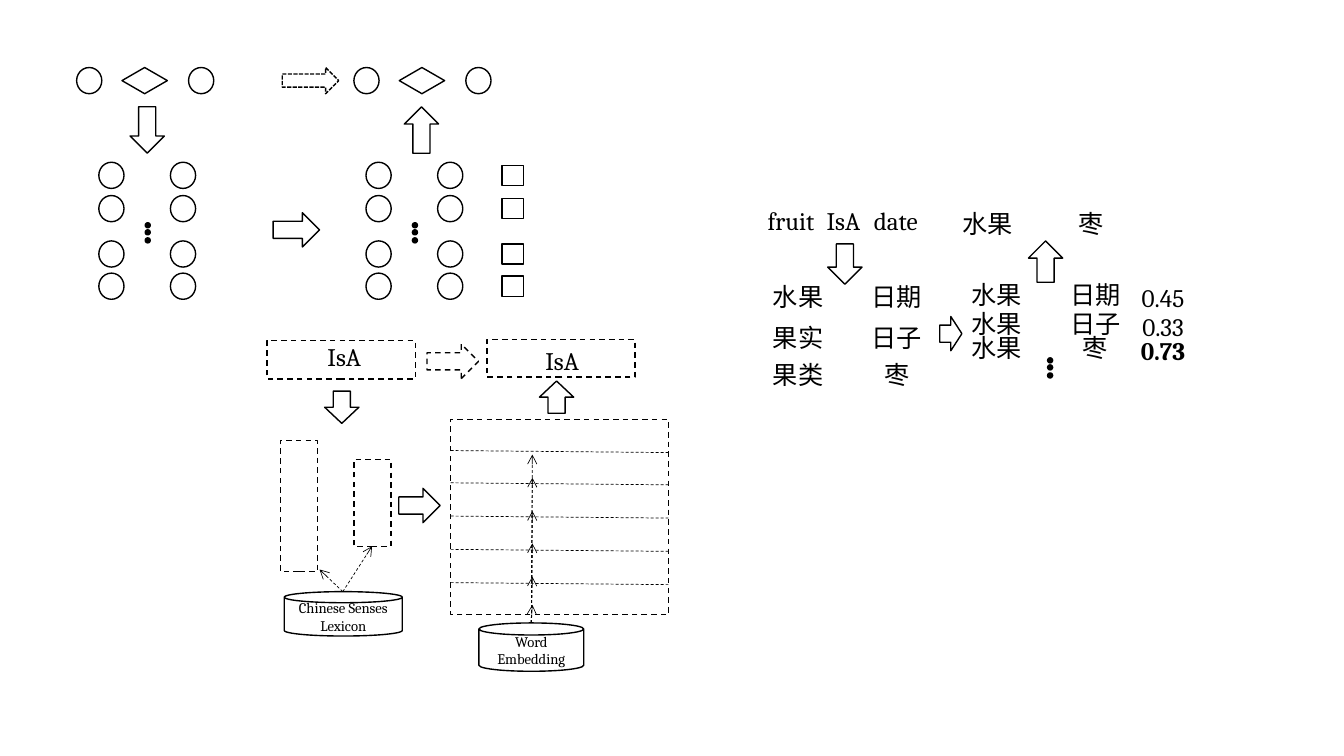
from dataclasses import dataclass
from pptx import Presentation
from pptx.dml.color import RGBColor
from pptx.enum.dml import MSO_LINE
from pptx.enum.shapes import MSO_CONNECTOR, MSO_SHAPE
from pptx.enum.text import MSO_ANCHOR, MSO_AUTO_SIZE, PP_ALIGN
from pptx.oxml.ns import qn
from pptx.util import Pt
from lxml.etree import SubElement

PX = 9144  # EMU in one px, 100 px to the inch


@dataclass(frozen=True)
class Theme:
    ink: RGBColor = RGBColor(0, 0, 0)
    paper: RGBColor = RGBColor(255, 255, 255)
    face: str = "Cambria"
    label: float = 18
    store: float = 10.5
    edge: float = 1
    thin: float = 0.5


THEME = Theme()
ROWS = (161, 194, 239, 271)


def emu(*sizes):
    return [size * PX for size in sizes]


def apply(item, formats):
    for name, value in formats.items():
        setattr(item, name, value)


def write(frame, text, size, bold=None):
    para = frame.paragraphs[0]
    para.alignment = PP_ALIGN.CENTER
    run = para.add_run()
    run.text = text
    apply(run.font, {"name": THEME.face, "size": Pt(size), "bold": bold})
    run.font.color.rgb = THEME.ink


def draw(shapes, kind, box, fill=THEME.paper, dash=None, turn=0):
    shape = shapes.add_shape(kind, *emu(*box))
    shape.shadow.inherit = False
    if fill is None:
        shape.fill.background()
    else:
        shape.fill.solid()
        shape.fill.fore_color.rgb = fill
    shape.line.color.rgb = THEME.ink
    apply(shape.line, {"width": Pt(THEME.edge), "dash_style": dash})
    shape.rotation = turn
    return shape


def ring(shapes, x, y):
    draw(shapes, MSO_SHAPE.OVAL, (x, y, 25, 26))


def triple(shapes, x):
    # Two entities joined by a relation
    group = shapes.add_group_shape().shapes
    ring(group, x, 67)
    ring(group, x + 111, 67)
    draw(group, MSO_SHAPE.DIAMOND, (x + 45, 67, 45, 26))


def dots(shapes, x, y):
    for step in (0, 7, 15):
        draw(shapes, MSO_SHAPE.OVAL, (x, y + step, 5, 5), THEME.ink)


def pool(shapes, x):
    # Candidate pairs with an ellipsis between them
    for y in ROWS:
        ring(shapes, x, y)
        ring(shapes, x + 71, y)
    dots(shapes, x + 46, 221)


def arrow(shapes, x, y, long, turn=0, dash=None):
    draw(shapes, MSO_SHAPE.DOWN_ARROW, (x, y, 34, long), dash=dash, turn=turn)


def frame(shapes, *box):
    draw(shapes, MSO_SHAPE.RECTANGLE, box, None, MSO_LINE.DASH)


def store(shapes, text, *box):
    can = draw(shapes, MSO_SHAPE.CAN, box)
    apply(can.text_frame, {"word_wrap": True,
                           "vertical_anchor": MSO_ANCHOR.MIDDLE})
    write(can.text_frame, text, THEME.store)


def label(shapes, text, x, y, bold=None):
    body = shapes.add_textbox(*emu(x, y, 81, 40)).text_frame
    apply(body, {"word_wrap": True,
                 "auto_size": MSO_AUTO_SIZE.SHAPE_TO_FIT_TEXT})
    write(body, text, THEME.label, bold)


def link(shapes, start, end, head=False):
    line = shapes.add_connector(MSO_CONNECTOR.STRAIGHT, *emu(*start, *end))
    line.line.color.rgb = THEME.ink
    apply(line.line, {"width": Pt(THEME.thin), "dash_style": MSO_LINE.DASH})
    props = line._element.spPr
    if head:
        SubElement(props.find(qn("a:ln")), qn("a:tailEnd"), type="arrow")
    SubElement(props, qn("a:effectLst"))


def scheme(shapes):
    # Translation of triples through candidate pools
    for x in (76, 351):
        triple(shapes, x)
    for x in (98, 363):
        pool(shapes, x)
    for y in ROWS:
        draw(shapes, MSO_SHAPE.RECTANGLE, (498, y + 3, 21, 20))
    draw(shapes, MSO_SHAPE.RIGHT_ARROW, (280, 67, 56, 26),
         dash=MSO_LINE.SQUARE_DOT)
    arrow(shapes, 129, 106, 46)
    arrow(shapes, 277, 205, 46, 270)
    arrow(shapes, 401, 106, 46, 180)


def sample(shapes):
    # Query triple and its result
    for text, x, y in (("fruit", 744, 199), ("IsA", 796, 199),
                       ("date", 848, 199), ("水果", 939, 202),
                       ("枣", 1042, 202)):
        label(shapes, text, x, y)
    # Senses of each word
    for y, left, right in ((274, "水果", "日期"), (315, "果实", "日子"),
                           (352, "果类", "枣")):
        label(shapes, left, 751, y)
        label(shapes, right, 849, y)
    # Scored pairs, best one in bold
    for y, right, score, best in ((272, "日期", "0.45", None),
                                  (301, "日子", "0.33", None),
                                  (325, "枣", "0.73", True)):
        label(shapes, "水果", 948, y)
        label(shapes, right, 1046, y)
        label(shapes, score, 1113, y + 3, best)
    dots(shapes, 1039, 355)
    arrow(shapes, 821, 242, 40)
    arrow(shapes, 1020, 239, 41, 180)
    arrow(shapes, 926, 320, 22, 270)


def flow(shapes):
    # Relation kept on both sides
    label(shapes, "IsA", 301, 334)
    label(shapes, "IsA", 517, 338)
    frame(shapes, 265, 338, 147, 38)
    frame(shapes, 483, 337, 147, 37)
    # Sense columns and scoring table
    frame(shapes, 278, 437, 37, 130)
    frame(shapes, 351, 456, 37, 86)
    frame(shapes, 447, 416, 216, 194)
    for row in range(5):
        y = 447 + 131 * row // 4
        link(shapes, (447, y), (663, y + 2))
    arrow(shapes, 322, 388, 32)
    arrow(shapes, 399, 481, 41, 270)
    arrow(shapes, 535, 378, 32, 180)
    arrow(shapes, 432, 333, 51, 270, MSO_LINE.DASH)
    # Resources and what they feed
    store(shapes, "Chinese Senses Lexicon", 282, 587, 117, 44)
    store(shapes, "Word Embedding", 475, 618, 104, 48)
    for tip in ((317, 565), (369, 542)):
        link(shapes, (340, 587), tip, True)
    for y in (451, 474, 507, 539, 572, 600):
        link(shapes, (527, 618), (528, y), True)


def main():
    deck = Presentation()
    apply(deck, {"slide_width": 1333 * PX, "slide_height": 750 * PX})
    shapes = deck.slides.add_slide(deck.slide_layouts[6]).shapes
    for part in (scheme, sample, flow):
        part(shapes)
    deck.save("out.pptx")


if __name__ == "__main__":
    main()
